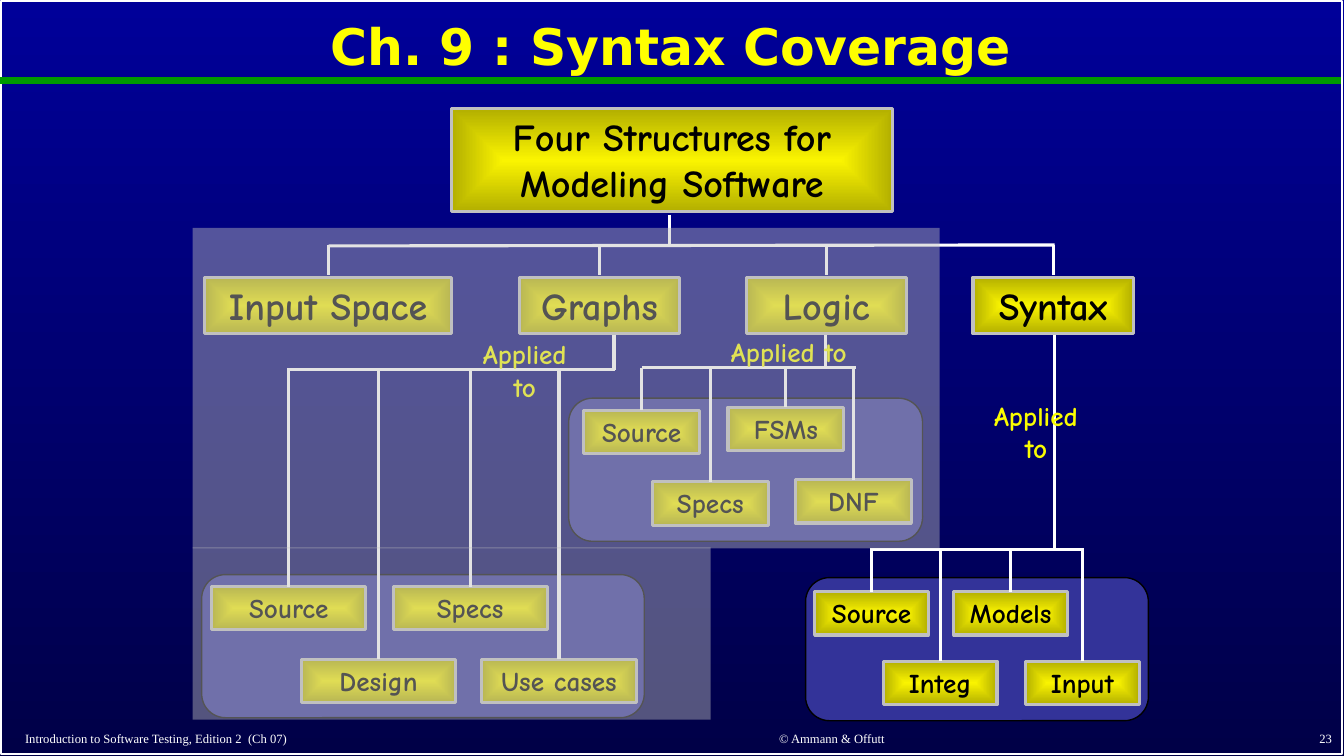
from lxml.etree import SubElement
from pptx import Presentation
from pptx.dml.color import RGBColor
from pptx.enum.shapes import MSO_CONNECTOR, MSO_SHAPE
from pptx.enum.text import MSO_ANCHOR, PP_ALIGN
from pptx.oxml.ns import qn
from pptx.util import Inches, Pt

COLORS = {
    "sky": "000099", "night": "000047", "white": "FFFFFF", "green": "009900",
    "title": "FFFF00", "label": "FAFD00", "glow": "FAF400", "edge": "B3AF00",
    "silver": "C0C0C0", "panel": "333399", "black": "000000",
}


class Board:
    cell = 0.1
    body, heading, footer = "Comic Neue", "DejaVu Sans", "Times New Roman"
    large, small = 27.2, 19.4
    tall, low = 5.6, 4.3

    def __init__(self, slide):
        self.s = slide

    def grid(self, *cells):
        return [Inches(c * self.cell) for c in cells]

    def color(self, name):
        return RGBColor.from_string(COLORS[name])

    def gradient(self, fill, start, end):
        fill.gradient()
        for stop, name, position in zip(fill.gradient_stops, (start, end), (0, 1)):
            stop.color.rgb = self.color(name)
            stop.position = position

    def background(self):
        fill = self.s.background.fill
        self.gradient(fill, "sky", "night")
        fill.gradient_angle = 270

    def put_text(self, sp, text, size, color, font=None, bold=True,
                 align=PP_ALIGN.CENTER, anchor=MSO_ANCHOR.TOP, wrap=True):
        tf = sp.text_frame
        tf.text = text
        tf.word_wrap = wrap
        tf.vertical_anchor = anchor
        p = tf.paragraphs[0]
        p.alignment = align
        r = p.runs[0]
        r.font.size = Pt(size)
        r.font.name = font or self.body
        r.font.bold = bold
        r.font.color.rgb = self.color(color)
        return p

    def text(self, x, y, w, h, text, size, color, **style):
        sp = self.s.shapes.add_textbox(*self.grid(x, y, w, h))
        return self.put_text(sp, text, size, color, **style)

    def shape(self, x, y, w, h, fill=None, line=None, width=1, kind=MSO_SHAPE.RECTANGLE):
        sp = self.s.shapes.add_shape(kind, *self.grid(x, y, w, h))
        sp.shadow.inherit = False
        if fill:
            sp.fill.solid()
            sp.fill.fore_color.rgb = self.color(fill)
        else:
            sp.fill.background()
        if line:
            sp.line.color.rgb = self.color(line)
            sp.line.width = Pt(width)
        else:
            sp.line.fill.background()
        return sp

    def box(self, x, y, w, h, text, size):
        sp = self.shape(x, y, w, h, line="silver", width=2.25)
        self.gradient(sp.fill, "glow", "edge")
        grad = sp._element.spPr.find(qn("a:gradFill"))
        grad.remove(grad.find(qn("a:lin")))
        focus = SubElement(grad, qn("a:path"), {"path": "shape"})
        SubElement(focus, qn("a:fillToRect"), dict.fromkeys("ltrb", "50000"))
        self.put_text(sp, text, size, "black")

    def line(self, x1, y1, x2, y2, color="white", width=2.25):
        c = self.s.shapes.add_connector(MSO_CONNECTOR.STRAIGHT, *self.grid(x1, y1, x2, y2))
        c.line.color.rgb = self.color(color)
        c.line.width = Pt(width)
        SubElement(c._element.spPr, qn("a:effectLst"))

    def veil(self, x, y, w, h):
        sp = self.shape(x, y, w, h, fill="silver")
        rgb = sp._element.spPr.find(qn("a:solidFill")).find(qn("a:srgbClr"))
        SubElement(rgb, qn("a:alpha"), {"val": "44000"})

    def branch(self, panel, width, leaves, bus, stem, label):
        self.shape(*panel, fill="panel", line="black", kind=MSO_SHAPE.ROUNDED_RECTANGLE)
        for text, x, y in leaves:
            self.box(x, y, width, self.low, text, self.small)
        left, right, level = bus
        self.line(left, level, right, level)
        for _, x, y in leaves:
            self.line(x + width / 2, y, x + width / 2, level)
        self.line(stem, 33.2, stem, level)
        self.text(*label, "Applied to", self.small, "label")


def main():
    prs = Presentation()
    prs.slide_width, prs.slide_height = Inches(13.33), Inches(7.5)
    board = Board(prs.slides.add_slide(prs.slide_layouts[6]))
    board.background()
    board.shape(0.1, 0.1, 133, 74.7, line="white")
    board.line(0, 8, 133, 8, "green", 4.5)
    title = board.text(1.3, 0.5, 130.5, 8.8, "Ch. 9 : Syntax Coverage", 36, "title",
                       font=board.heading, anchor=MSO_ANCHOR.MIDDLE)
    title.line_spacing = 0.9
    footers = [
        (1.5, 56.9, "Introduction to Software Testing, Edition 2  (Ch 07)", PP_ALIGN.LEFT),
        (61.4, 42.2, "© Ammann & Offutt", PP_ALIGN.CENTER),
        (105.3, 27.8, "23", PP_ALIGN.RIGHT),
    ]
    for x, w, text, align in footers:
        board.text(x, 71.9, w, 2.6, text, 9, "white", font=board.footer, bold=False,
                   align=align, anchor=MSO_ANCHOR.BOTTOM, wrap=False)

    board.box(44.8, 10.8, 43.7, 10.2, "Four Structures for Modeling Software", board.large)
    structures = [("Input Space", 20.3, 24.5), ("Graphs", 51.5, 15.9),
                  ("Logic", 74, 15.9), ("Syntax", 96.5, 15.9)]
    for text, x, w in structures:
        board.box(x, 27.5, w, board.tall, text, board.large)
        board.line(x + w / 2, 24.3, x + w / 2, 27.3)
    board.line(32.6, 24.4, 104.6, 24.3)
    board.line(66.4, 21.3, 66.4, 24.3)

    board.branch((79.9, 57.3, 34, 14.2), 11.3,
                 [("Source", 80.8, 58.7), ("Integ", 87.6, 65.6),
                  ("Models", 94.6, 58.7), ("Input", 101.7, 65.6)],
                 (86.3, 107.5, 54.5), 104.6, (96.8, 39.1, 11.9, 7.5))
    board.branch((56.4, 39.5, 35.1, 14.2), 11.5,
                 [("Source", 57.9, 40.7), ("Specs", 64.7, 47.8),
                  ("FSMs", 72.2, 40.4), ("DNF", 78.9, 47.6)],
                 (63.7, 84.9, 36.5), 81.9, (69.8, 32.8, 16.9, 4.3))
    board.branch((20, 57, 43.9, 14.2), 15.3,
                 [("Source", 21, 58.2), ("Design", 29.9, 65.4),
                  ("Specs", 39, 58.2), ("Use cases", 47.8, 65.4)],
                 (28.5, 61, 36.7), 60.9, (46.1, 33, 11.9, 7.5))

    board.veil(19.1, 54.3, 51.4, 17.1)
    board.veil(19.1, 22.6, 74.1, 31.8)
    prs.save("out.pptx")


if __name__ == "__main__":
    main()
